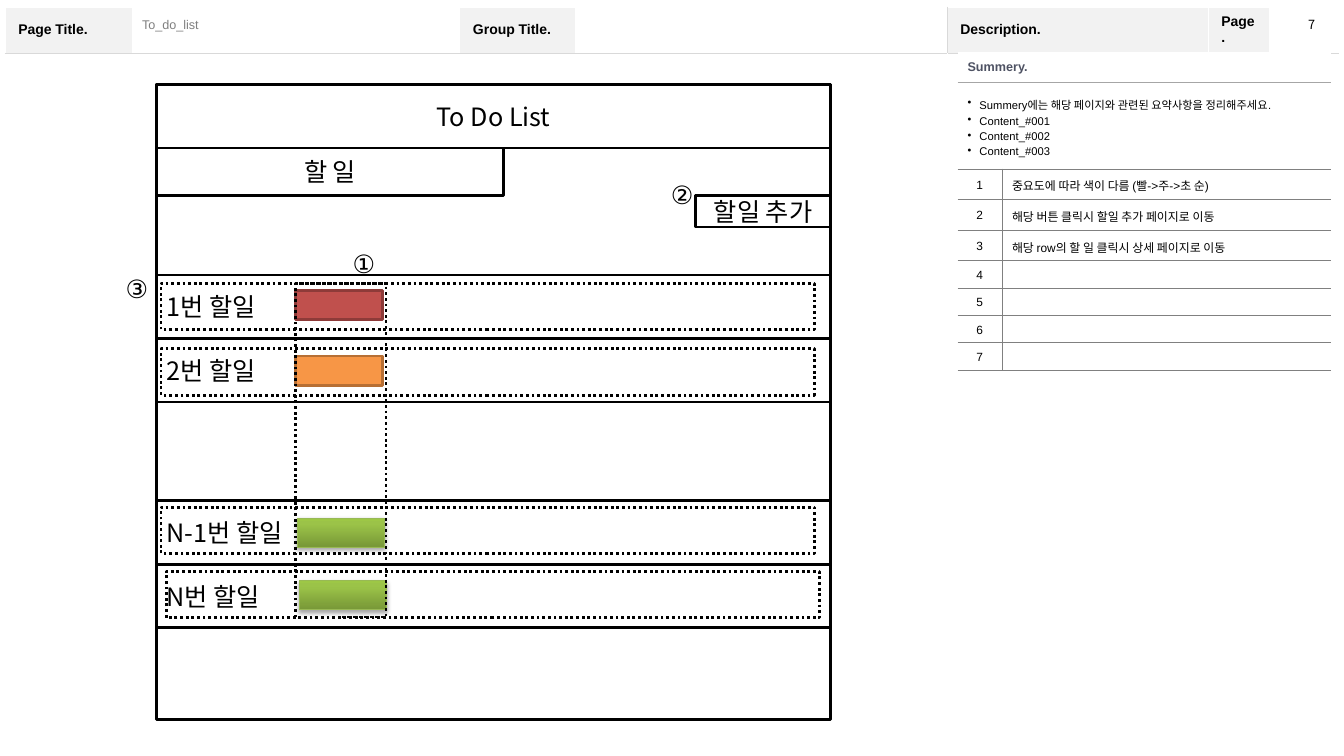
from dataclasses import dataclass
from copy import deepcopy

from lxml.etree import SubElement
from pptx import Presentation
from pptx.dml.color import RGBColor
from pptx.enum.dml import MSO_LINE_DASH_STYLE as Dash
from pptx.enum.shapes import MSO_SHAPE as Shape
from pptx.enum.text import MSO_ANCHOR as Anchor, PP_ALIGN as Align
from pptx.oxml.ns import qn
from pptx.util import Cm, Pt


@dataclass(frozen=True)
class Theme:
    black: str = "000000"
    white: str = "FFFFFF"
    label_fill: str = "F2F2F2"
    header_line: str = "D9D9D9"
    summary_line: str = "A6A6A6"
    grey: str = "808080"
    summary_text: str = "4E5263"
    high: tuple = ("C0504D", "8E3B39")
    medium: tuple = ("F79646", "B76F34")
    low: tuple = ((0, "779737"), (0.8, "9BC348"), (1, "9DC746"))
    low_line: str = "98B955"
    latin: str = "Arial"
    korean: str = "Noto Sans CJK KR"
    wireframe: float = 18
    label: float = 10
    small: float = 9
    item: float = 8.5
    bullet: float = 8


THEME = Theme()
MIDDLE = {"vertical_anchor": Anchor.MIDDLE}
LABEL_CELL = MIDDLE | {"margin_left": Cm(0.33), "margin_right": Cm(0.33),
                       "margin_top": Cm(0.18), "margin_bottom": Cm(0.18)}
JUSTIFIED = {"alignment": Align.JUSTIFY, "line_spacing": 1.2}
CENTRED = {"alignment": Align.CENTER, "line_spacing": 1.2}


def apply(target, values):
    for name, value in values.items():
        setattr(target, name, value)


def write(frame, lines, size, color=THEME.black, face=THEME.latin,
          bold=False, layout=None, bullets=False):
    for index, line in enumerate(lines):
        para = frame.add_paragraph() if index else frame.paragraphs[0]
        apply(para, layout or {})
        span = para.add_run()
        span.text = line
        apply(span.font, {"name": face, "size": Pt(size), "bold": bold})
        span.font.color.rgb = RGBColor.from_string(color)
        SubElement(span.font._element, qn("a:ea"), typeface=THEME.korean)
        if bullets:
            props = para._p.get_or_add_pPr()
            props.set("marL", str(Cm(0.3)))
            props.set("indent", str(-Cm(0.3)))
            SubElement(props, qn("a:buChar"), char="•")


def add_text(page, place, text, size, wrap=True, **style):
    box = page.shapes.add_textbox(*map(Cm, place))
    box.text_frame.word_wrap = wrap
    write(box.text_frame, [text], size, **style)
    return box


def add_box(page, place, text="", align=Align.CENTER, fill=None,
            line=THEME.black, width=2, dash=None):
    box = page.shapes.add_shape(Shape.RECTANGLE, *map(Cm, place))
    box.shadow.inherit = False
    if fill:
        box.fill.solid()
        box.fill.fore_color.rgb = RGBColor.from_string(fill)
    else:
        box.fill.background()
    box.line.color.rgb = RGBColor.from_string(line)
    apply(box.line, {"width": Pt(width), "dash_style": dash})
    if text:
        apply(box.text_frame, MIDDLE)
        write(box.text_frame, [text], THEME.wireframe, face=THEME.korean,
              layout={"alignment": align})
    return box


def add_low_chip(page, place):
    chip = add_box(page, place, line=THEME.low_line, width=0.75)
    chip.fill.gradient()
    chip.fill.gradient_angle = 90
    stop_list = chip._element.spPr.find(qn("a:gradFill")).find(qn("a:gsLst"))
    stop_list.append(deepcopy(stop_list[-1]))
    for stop, (position, color) in zip(chip.fill.gradient_stops, THEME.low):
        stop.position = position
        stop.color.rgb = RGBColor.from_string(color)
    effects = chip._element.spPr.find(qn("a:effectLst"))
    shadow = SubElement(effects, qn("a:outerShdw"), blurRad=str(Pt(3.1)),
                        dist=str(Pt(1.8)), dir="5400000", rotWithShape="0")
    tint = SubElement(shadow, qn("a:srgbClr"), val=THEME.black)
    SubElement(tint, qn("a:alpha"), val="35000")


def set_borders(cell, **colors):
    """Colour the sides L, R, T, B; a side left out has no line."""
    props = cell._tc.get_or_add_tcPr()
    for side in "LRTB":
        color = colors.get(side)
        width = Pt(1 if color == THEME.white else 0.25)
        line = SubElement(props, qn(f"a:ln{side}"), w=str(width))
        if color:
            fill = SubElement(line, qn("a:solidFill"))
            SubElement(fill, qn("a:srgbClr"), val=color)
        else:
            SubElement(line, qn("a:noFill"))


def fill_cell(cell, color=None):
    if color:
        cell.fill.solid()
        cell.fill.fore_color.rgb = RGBColor.from_string(color)
    else:
        cell.fill.background()


def add_grid(page, left, top, widths, heights):
    frame = page.shapes.add_table(len(heights), len(widths), Cm(left), Cm(top),
                                  Cm(sum(widths)), Cm(sum(heights)))
    grid = frame.table
    apply(grid, {"first_row": False, "horz_banding": False})
    for column, width in zip(grid.columns, widths):
        column.width = Cm(width)
    for row, height in zip(grid.rows, heights):
        row.height = Cm(height)
    return grid


def add_page_header(page):
    grid = add_grid(page, 0.13, 0.18, [3.2, 8.26, 2.92, 9.36, 6.58, 1.55, 1.73],
                    [1.1, 16.95])
    labels = {0: "Page Title.", 2: "Group Title.", 4: "Description.", 5: "Page."}
    white, grey = THEME.white, THEME.header_line
    for row in range(2):
        for column in range(7):
            cell = grid.cell(row, column)
            set_borders(cell, L=grey if column == 4 else white,
                        R=grey if column == 3 else white,
                        T=grey if row else white, B=white if row else grey)
            has_label = row == 0 and column in labels
            fill_cell(cell, THEME.label_fill if has_label else None)
            if has_label:
                apply(cell, LABEL_CELL)
                write(cell.text_frame, [labels[column]], THEME.label, bold=True)
    grid.cell(1, 0).merge(grid.cell(1, 3))
    grid.cell(1, 4).merge(grid.cell(1, 6))


def add_description(page):
    notes = ["중요도에 따라 색이 다름 (빨->주->초 순)",
             "해당 버튼 클릭시 할일 추가 페이지로 이동",
             "해당 row의 할 일 클릭시 상세 페이지로 이동", "", "", "", ""]
    heights = [0.75, 2.18] + [0.77 if note else 0.69 for note in notes]
    grid = add_grid(page, 24.13, 1.32, [1.12, 8.28], heights)
    grey, pale = THEME.grey, THEME.summary_line
    # Summary
    for column in range(2):
        set_borders(grid.cell(0, column), B=pale)
        set_borders(grid.cell(1, column), T=pale, B=grey)
        fill_cell(grid.cell(0, column), THEME.white)
        fill_cell(grid.cell(1, column))
    for row in range(2):
        grid.cell(row, 0).merge(grid.cell(row, 1))
        apply(grid.cell(row, 0), MIDDLE)
    write(grid.cell(0, 0).text_frame, ["Summery."], THEME.small,
          THEME.summary_text, bold=True)
    contents = [f"Content_#00{number}" for number in range(1, 4)]
    write(grid.cell(1, 0).text_frame,
          ["Summery에는 해당 페이지와 관련된 요약사항을 정리해주세요."] + contents,
          THEME.bullet, layout=JUSTIFIED, bullets=True)
    # Numbered notes
    for number, note in enumerate(notes, 1):
        index, detail = grid.cell(number + 1, 0), grid.cell(number + 1, 1)
        set_borders(index, R=grey, T=grey, B=grey)
        set_borders(detail, L=grey, T=grey, B=grey)
        for cell in (index, detail):
            fill_cell(cell)
            apply(cell, MIDDLE)
        write(index.text_frame, [str(number)], THEME.item, layout=CENTRED)
        if note:
            write(detail.text_frame, [note], THEME.item, layout=JUSTIFIED)
        else:
            SubElement(detail.text_frame.paragraphs[0]._p, qn("a:endParaRPr"),
                       sz=str(int(THEME.item * 100)))


def add_wireframe(page):
    left, width, height = 3.94, 17, 1.6
    # Frame, title, tab and button
    add_box(page, (left, 2.13, width, 16))
    add_box(page, (left, 2.13, width, height), "To Do List")
    add_box(page, (left, 3.73, 8.76, 1.19), "할 일")
    add_box(page, (17.53, 4.93, 3.4, 0.79), "할일 추가")
    # Task rows
    for top, task in ((6.93, "1번 할일"), (8.53, "2번 할일"),
                      (14.22, "N번 할일"), (12.62, "N-1번 할일")):
        add_box(page, (left, top, width, height), task, Align.LEFT)
    # Priority chips
    for top, (fill, line) in ((7.32, THEME.high), (8.97, THEME.medium)):
        add_box(page, (7.44, top, 2.21, 0.74), fill=fill, line=line)
    for x, top in ((7.49, 13.06), (7.54, 14.63)):
        add_low_chip(page, (x, top, 2.21, 0.74))
    # Dotted areas
    add_box(page, (7.44, 7.14, 2.29, 8.41), dash=Dash.ROUND_DOT)
    for x, top in ((4.06, 7.14), (4.06, 8.79), (4.06, 12.78), (4.19, 14.4)):
        add_box(page, (x, top, 16.46, 1.17), dash=Dash.ROUND_DOT)
    # Numbered markers
    add_text(page, (8.64, 5.99, 1.09, 1.09), "①", THEME.wireframe, layout=JUSTIFIED)
    add_text(page, (16.66, 4.39, 0.89, 1.02), "②", THEME.wireframe)
    add_text(page, (2.92, 6.76, 1.04, 1.02), "③", THEME.wireframe)


def main():
    deck = Presentation()
    apply(deck, {"slide_width": Cm(33.87), "slide_height": Cm(19.05)})
    page = deck.slides.add_slide(deck.slide_layouts[6])
    add_page_header(page)
    title = add_text(page, (3.33, 0.3, 8.23, 0.61), "To_do_list", THEME.small,
                     color=THEME.grey)
    apply(title.text_frame, MIDDLE)
    add_description(page)
    add_text(page, (32.72, 0.3, 0.69, 0.64), "7", THEME.small, wrap=False,
             face=THEME.korean)
    add_wireframe(page)
    deck.save("out.pptx")


if __name__ == "__main__":
    main()
